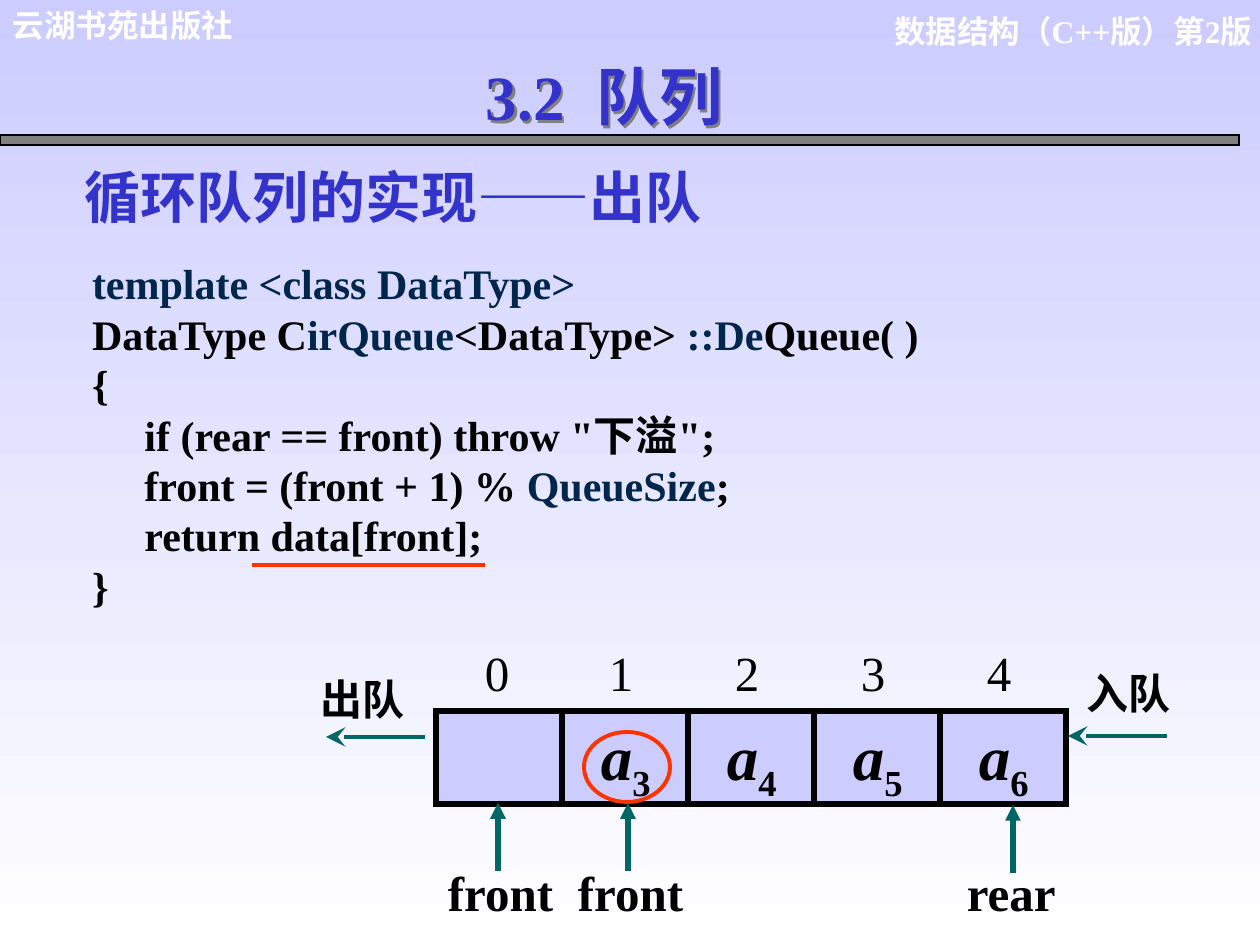
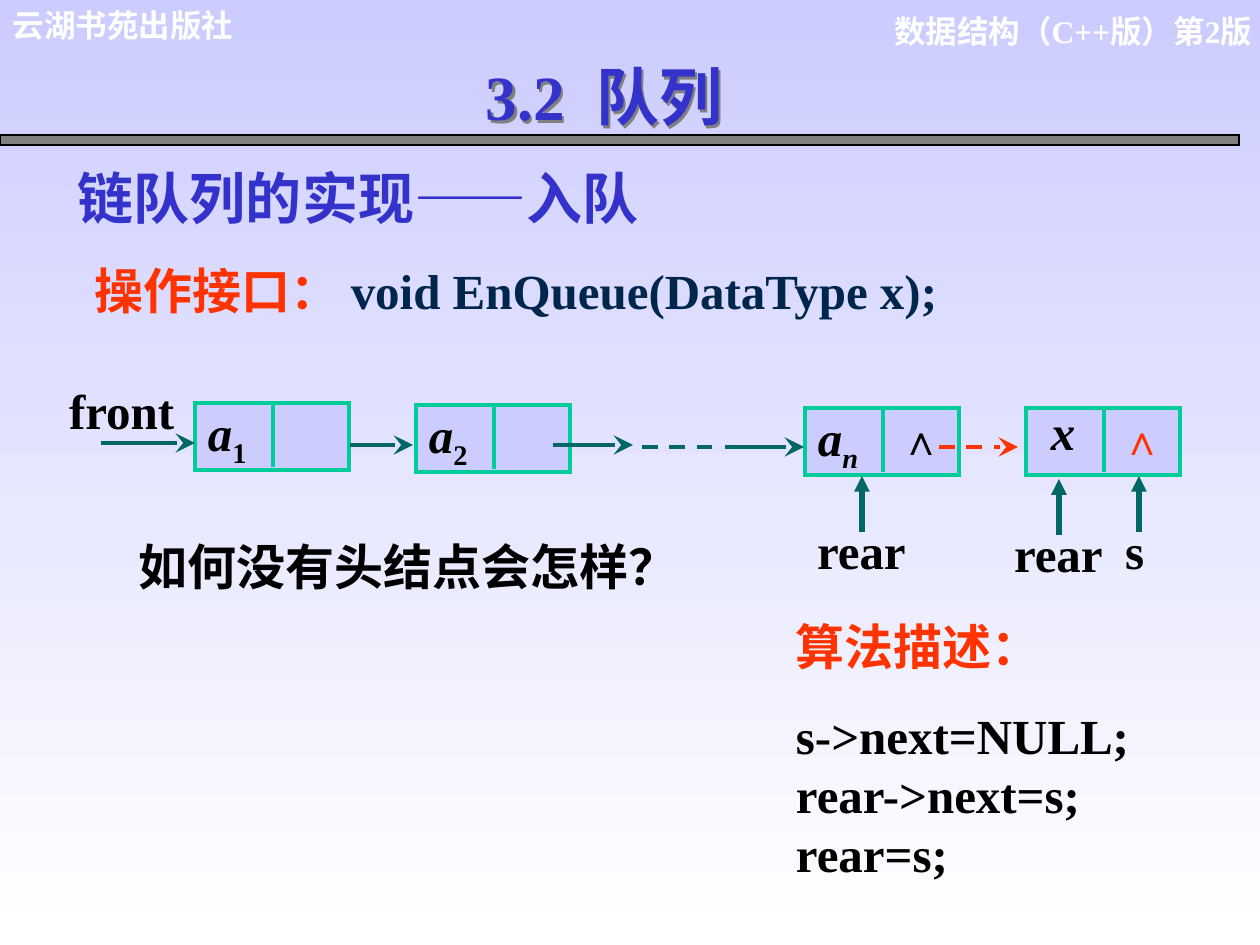
from lxml import etree
from pptx import Presentation, util as u
from pptx.dml.color import RGBColor
from pptx.enum import dml, shapes, text
from pptx.oxml.ns import qn

PX = u.Inches(1) / 126
WIDTH, HEIGHT = 1260, 945
FONT = "Times New Roman"

WHITE = RGBColor(0xFF, 0xFF, 0xFF)
BLACK = RGBColor(0, 0, 0)
GRAY = RGBColor(0x80, 0x80, 0x80)
LAVENDER = RGBColor(0xCC, 0xCC, 0xFF)
BLUE = RGBColor(0x33, 0x33, 0xCC)
NAVY = RGBColor(0x00, 0x26, 0x4C)
RED = RGBColor(0xFF, 0x33, 0x00)
TEAL = RGBColor(0x00, 0x66, 0x66)
GREEN = RGBColor(0x00, 0xCC, 0x99)

LEFT, CENTER, RIGHT = text.PP_ALIGN.LEFT, text.PP_ALIGN.CENTER, text.PP_ALIGN.RIGHT
LABEL_INSETS = (0, 0, 0, 0)


def px(n):
    return u.Emu(round(n * PX))


def child(parent, tag, **attrs):
    return etree.SubElement(parent, qn(tag), attrs)


def variable(name, index, index_italic=False):
    """Runs for an italic letter with a subscript."""
    return [(name, {"italic": True}), (index, {"italic": index_italic, "sub": True})]


class Deck:
    def __init__(self):
        self.prs = Presentation()
        self.prs.slide_width, self.prs.slide_height = px(WIDTH), px(HEIGHT)
        self.s = None

    def slide(self, heading, x, y):
        """Start a slide with the shared background, header, title and a heading."""
        self.s = self.prs.slides.add_slide(self.prs.slide_layouts[6])
        fill = self.s.background.fill
        fill.gradient()
        fill.gradient_angle = 270
        for stop, color in zip(fill.gradient_stops, (LAVENDER, WHITE)):
            stop.color.rgb = color
        self.text(805, 6, 460, 50, ["数据结构（C++版）第2版"], 18, WHITE, align=RIGHT)
        self.text(0, 0, 341, 50, ["云湖书苑出版社"], 18, WHITE, font="Arial")
        self.shape(shapes.MSO_SHAPE.RECTANGLE, 0, 135, 1239, 10, GRAY, BLACK, 0.75)
        title = self.text(333, 52, 542, 88, [["3.2", (" ", {"spacing": 9}), "队列"]],
                          36, BLUE, align=CENTER)
        effects = child(title._element.spPr, "a:effectLst")
        shadow = child(effects, "a:outerShdw", dist="25400", dir="2700000")
        child(shadow, "a:srgbClr", val=str(GRAY))
        self.text(x, y, 850, 81, [heading], 32, BLUE)

    def run(self, p, content, size, color, bold=True, font=FONT,
            italic=False, sub=False, spacing=0):
        r = p.add_run()
        r.text = content
        r.font.size, r.font.name = u.Pt(size), font
        r.font.bold, r.font.italic = bold, italic
        r.font.color.rgb = color
        props = r.font._element
        if sub:
            props.set("baseline", "-25000")
        if spacing:
            props.set("spc", str(spacing * 100))

    def fill_text(self, tf, paragraphs, size, color, insets=(13, 6, 13, 6),
                  align=LEFT, line=None, **style):
        """Write paragraphs, each a string or a list of strings and (string, style) runs."""
        tf.word_wrap = True
        tf.vertical_anchor = text.MSO_ANCHOR.TOP
        tf.margin_left, tf.margin_top, tf.margin_right, tf.margin_bottom = map(px, insets)
        for i, runs in enumerate(paragraphs):
            p = tf.add_paragraph() if i else tf.paragraphs[0]
            p.alignment = align
            if line:
                p.line_spacing = line
            for item in [runs] if isinstance(runs, str) else runs:
                content, own = (item, {}) if isinstance(item, str) else item
                self.run(p, content, **{"size": size, "color": color, **style, **own})

    def text(self, x, y, w, h, paragraphs, size, color=BLACK, **style):
        sp = self.s.shapes.add_textbox(px(x), px(y), px(w), px(h))
        self.fill_text(sp.text_frame, paragraphs, size, color, **style)
        return sp

    def shape(self, kind, x, y, w, h, fill, line, width):
        sp = self.s.shapes.add_shape(kind, px(x), px(y), px(w), px(h))
        sp.shadow.inherit = False
        if fill is None:
            sp.fill.background()
        else:
            sp.fill.solid()
            sp.fill.fore_color.rgb = fill
        sp.line.color.rgb, sp.line.width = line, u.Pt(width)
        child(sp.line._get_or_add_ln(), "a:miter", lim="800000")
        return sp

    def line(self, x1, y1, x2, y2, color=TEAL, width=2.25, head=None,
             head_size="med", dash=False):
        c = self.s.shapes.add_connector(
            shapes.MSO_CONNECTOR.STRAIGHT, px(x1), px(y1), px(x2), px(y2))
        c.line.color.rgb, c.line.width = color, u.Pt(width)
        if dash:
            c.line.dash_style = dml.MSO_LINE.DASH
        if head:
            child(c.line._get_or_add_ln(), "a:tailEnd",
                  type=head, w=head_size, len=head_size)
        child(c._element.spPr, "a:effectLst")

    def link(self, x1, x2, y, **style):
        """Horizontal arrow with a large open head at x2."""
        self.line(x1, y, x2, y, head="stealth", head_size="lg", **style)

    def pointer(self, x, y, length=68):
        """Arrow pointing up to (x, y)."""
        self.line(x, y + length, x, y, width=3, head="triangle")

    def node(self, x, y, runs, indent=13):
        """Linked-list node with a data field and a link field."""
        sp = self.shape(shapes.MSO_SHAPE.RECTANGLE, x, y, 154, 67, LAVENDER, GREEN, 2.25)
        self.fill_text(sp.text_frame, [runs], 28, BLACK,
                       insets=(indent, 0, 0, 0), line=0.9)
        self.line(x + 78, y, x + 78, y + 64, GREEN)


def dequeue_slide(d):
    d.slide("循环队列的实现——出队", 72, 156)
    navy = {"color": NAVY}
    d.text(79, 252, 1042, 365, [
        [("template <class DataType>", navy)],
        ["DataType C", ("irQueue", navy), "<DataType> ", ("::De", navy), "Queue( )"],
        "{",
        "     if (rear == front) throw \"下溢\";",
        ["     front = (front + 1) % ", ("QueueSize", navy), ";"],
        "     return data[front];",
        "}",
    ], 24)
    d.line(252, 565, 485, 565, RED)

    cell_x, cell_y, cell_w, cell_h = 436, 711, 126, 93
    indexes = d.text(472, 636, 620, 72, ["\t".join("01234")], 28, bold=False)
    index_line = indexes.text_frame.paragraphs[0]
    tabs = child(index_line._p.get_or_add_pPr(), "a:tabLst")
    for i in range(5):
        d.shape(shapes.MSO_SHAPE.RECTANGLE, cell_x + i * cell_w, cell_y,
                cell_w, cell_h, LAVENDER, BLACK, 3)
        if i:
            child(tabs, "a:tab", pos=str(px(i * cell_w - 2)), algn="l")
            d.text(cell_x + i * cell_w + 26, cell_y + 1, 92, 100,
                   [variable("a", str(i + 2))], 36)
    d.shape(shapes.MSO_SHAPE.OVAL, 584, 732, 86, 70, None, RED, 2.25)

    for label, label_x, label_y, start, end, y in (
            ("出队", 308, 668, 425, 326, 737), ("入队", 1074, 662, 1167, 1068, 736)):
        d.text(label_x, label_y, 136, 63, [label], 24)
        d.link(start, end, y)
    for label, label_x, x, y in (
            ("front", 435, 498, 803), ("front", 565, 628, 803), ("rear", 954, 1013, 805)):
        d.pointer(x, y)
        d.text(label_x, 856, 140, 72, [label], 28)


def enqueue_slide(d):
    d.slide("链队列的实现——入队", 65, 157)
    d.text(82, 255, 1080, 72, [[("操作接口： ", {"color": RED}),
                                ("void EnQueue(DataType x);", {"color": NAVY})]], 28)

    d.node(195, 403, variable("a", "1"))
    d.node(416, 405, variable("a", "2"))
    d.node(805, 408, variable("a", "n", index_italic=True))
    d.node(1026, 408, [("x", {"italic": True})], indent=25)
    for x, color in ((887, BLACK), (1108, RED)):
        d.text(x, 408, 72, 62, ["∧"], 24, color)

    d.text(69, 381, 120, 64, ["front"], 28, insets=LABEL_INSETS)
    for x1, x2, y in ((101, 195, 443), (350, 413, 445), (553, 633, 445), (725, 804, 447)):
        d.link(x1, x2, y)
    d.line(642, 447, 719, 447, dash=True)
    d.link(939, 1018, 447, color=RED, dash=True)

    for label, label_x, x, y in (
            ("rear", 817, 862, 476), ("rear", 1014, 1059, 479), ("s", 1125, 1139, 476)):
        d.pointer(x, y, 56)
        d.text(label_x, y + 56, 107, 44, [label], 28, insets=LABEL_INSETS, line=0.8)

    d.text(126, 530, 641, 72, ["如何没有头结点会怎样？"], 28)
    steps = d.text(783, 610, 450, 278, [
        [("算法描述：", {"color": RED})], "s->next=NULL;", "rear->next=s;", "rear=s;"], 28)
    steps.text_frame.paragraphs[1].space_before = u.Pt(17.5)


def main():
    d = Deck()
    dequeue_slide(d)
    enqueue_slide(d)
    d.prs.save("out.pptx")


if __name__ == "__main__":
    main()
